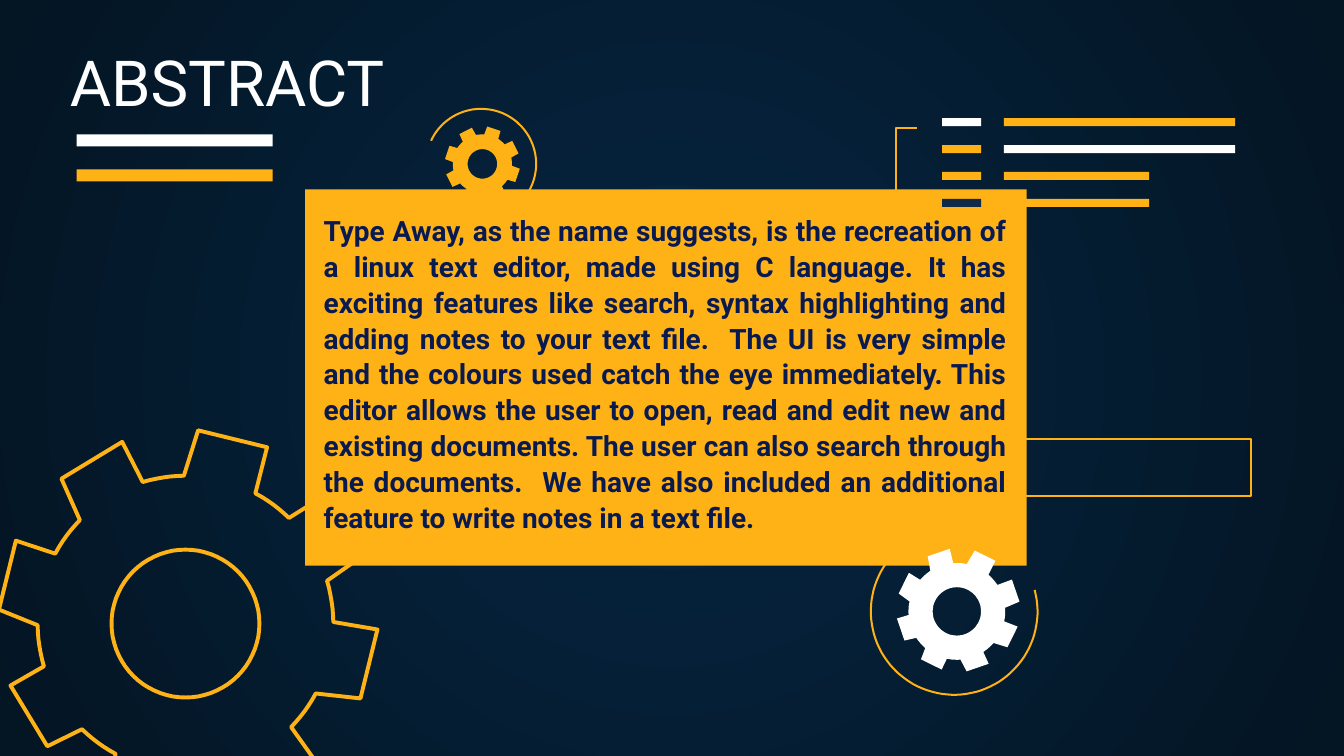
from math import cos, radians, sin

from lxml import etree
from pptx import Presentation
from pptx.dml.color import RGBColor
from pptx.enum.shapes import MSO_SHAPE
from pptx.enum.text import MSO_ANCHOR, PP_ALIGN
from pptx.oxml.ns import qn
from pptx.util import Inches, Pt

RECT = MSO_SHAPE.RECTANGLE
TOP, BOTTOM = MSO_ANCHOR.TOP, MSO_ANCHOR.BOTTOM
CENTER, JUSTIFY = PP_ALIGN.CENTER, PP_ALIGN.JUSTIFY

WIDE = 10
HIGH = WIDE * 9 / 16
GOLD, WHITE, NAVY, INK = "FFB215", "FFFFFF", "0E2A47", "091A51"
GLOW, EDGE = "052643", "041523"
FONT = "Roboto"
UNIT = 1000
THIN, THICK = 1.09, 2.1

TITLE = "ABSTRACT"
BODY = (
    "Type Away, as the name suggests, is the recreation of a linux text editor, "
    "made using C language. It has exciting features like search, syntax "
    "highlighting and adding notes to your text file.  The UI is very simple and "
    "the colours used catch the eye immediately. This editor allows the user to "
    "open, read and edit new and existing documents. The user can also search "
    "through the documents.  We have also included an additional feature to write "
    "notes in a text file."
)

PANEL = (2.27, 1.41, 5.37, 2.8)
FRAME = (7.2, 3.27, 2.11, 0.42)
BRACKET = [(6.83, 1.56), (6.67, 1.56), (6.67, 0.95), (6.82, 0.95)]

ARCS = [
    dict(mid=(3.58, 1.22), size=0.41, start=205, end=457),
    dict(mid=(7.1, 4.55), size=0.62, start=-15, end=233),
]
GEARS = [
    dict(mid=(1.4, 4.61), tip=1.41, root=1.1, phase=13.8,
         hub=(1.38, 4.64), bore=0.55, line=GOLD, width=THICK),
    dict(mid=(7.13, 4.54), tip=0.46, root=0.36, phase=26.3,
         hub=(7.12, 4.55), bore=0.18, fill=WHITE),
    dict(mid=(3.59, 1.22), tip=0.28, root=0.22, phase=18.1,
         hub=(3.59, 1.22), bore=0.11, fill=GOLD),
]

CODE = [
    (WHITE, GOLD, 1.72),
    (GOLD, WHITE, 1.72),
    (GOLD, GOLD, 1.08),
    (NAVY, GOLD, 1.08),
]
CODE_TOP, CODE_STEP, CODE_TALL = 0.88, 0.2, 0.06
KEY_LEFT, KEY_WIDE, VALUE_LEFT = 7.01, 0.29, 7.47
RULES = [WHITE, GOLD]
RULE_LEFT, RULE_TOP, RULE_STEP, RULE_SIZE = 0.57, 1, 0.26, (1.46, 0.09)


def color(code):
    return RGBColor.from_string(code)


def paint(shape, fill=None, line=None, width=THIN):
    shape.shadow.inherit = False
    if fill:
        shape.fill.solid()
        shape.fill.fore_color.rgb = color(fill)
    else:
        shape.fill.background()
    if line:
        shape.line.color.rgb = color(line)
        shape.line.width = Pt(width)
    else:
        shape.line.fill.background()


def box(slide, place, **look):
    paint(slide.shapes.add_shape(RECT, *map(Inches, place)), **look)


def outline(slide, loops, close=True, **look):
    scaled = [[(round(x * UNIT), round(y * UNIT)) for x, y in loop] for loop in loops]
    pen = slide.shapes.build_freeform(*scaled[0][0], scale=Inches(1) / UNIT)
    for index, loop in enumerate(scaled):
        if index:
            pen.move_to(*loop[0])
        pen.add_line_segments(loop[1:], close=close)
    paint(pen.convert_to_shape(), **look)


def polar(mid, size, angle):
    turn = radians(angle)
    return mid[0] + size * cos(turn), mid[1] + size * sin(turn)


def arc(mid, size, start, end, steps=72):
    span = (end - start) / steps
    return [polar(mid, size, start + span * i) for i in range(steps + 1)]


def gear(slide, mid, tip, root, phase, hub, bore, **look):
    rim = []
    for tooth in range(8):
        axis = phase + 45 * tooth
        rim += [polar(mid, tip, axis - 10.8), polar(mid, tip, axis + 10.8)]
        rim += arc(hub, root, axis + 14.4, axis + 30.6, 6)
    outline(slide, [rim, arc(hub, bore, 0, 355, 71)], **look)


def write(slide, text, place, size, ink, align, anchor, bold=False, lead=1.0, after=0):
    frame = slide.shapes.add_textbox(*map(Inches, place)).text_frame
    frame.word_wrap = True
    frame.vertical_anchor = anchor
    frame.margin_left = frame.margin_right = Inches(0.1)
    frame.margin_top = frame.margin_bottom = Inches(0.1)
    para = frame.paragraphs[0]
    para.alignment, para.line_spacing, para.space_after = align, lead, Pt(after)
    run = para.add_run()
    run.text = text
    run.font.name, run.font.size, run.font.bold = FONT, Pt(size), bold
    run.font.color.rgb = color(ink)


def backdrop(slide):
    fill = slide.background.fill
    fill.gradient()
    for stop, code in zip(fill.gradient_stops, (GLOW, EDGE)):
        stop.color.rgb = color(code)
    line = slide.element.find(".//" + qn("a:lin"))
    parent = line.getparent()
    glow = etree.Element(qn("a:path"), path="circle")
    sides = {side: "50000" for side in "ltrb"}
    etree.SubElement(glow, qn("a:fillToRect"), **sides)
    parent.replace(line, glow)


def main():
    """Build the abstract slide."""
    deck = Presentation()
    deck.slide_width, deck.slide_height = Inches(WIDE), Inches(HIGH)
    slide = deck.slides.add_slide(deck.slide_layouts[6])
    backdrop(slide)
    box(slide, PANEL, fill=GOLD)
    for ring in ARCS:
        outline(slide, [arc(**ring)], close=False, line=GOLD)
    for wheel in GEARS:
        gear(slide, **wheel)
    for row, (key, value, wide) in enumerate(CODE):
        top = CODE_TOP + CODE_STEP * row
        box(slide, (KEY_LEFT, top, KEY_WIDE, CODE_TALL), fill=key)
        box(slide, (VALUE_LEFT, top, wide, CODE_TALL), fill=value)
    outline(slide, [BRACKET], close=False, line=GOLD)
    for row, tint in enumerate(RULES):
        box(slide, (RULE_LEFT, RULE_TOP + RULE_STEP * row, *RULE_SIZE), fill=tint)
    box(slide, FRAME, line=GOLD)
    write(slide, BODY, (2.31, 1.47, 5.28, 2.8), size=15, ink=INK,
          align=JUSTIFY, anchor=TOP, bold=True, lead=1.07, after=8)
    write(slide, TITLE, (0.18, 0.33, 3.02, 0.66), size=34, ink=WHITE,
          align=CENTER, anchor=BOTTOM)
    deck.save("out.pptx")


if __name__ == "__main__":
    main()
